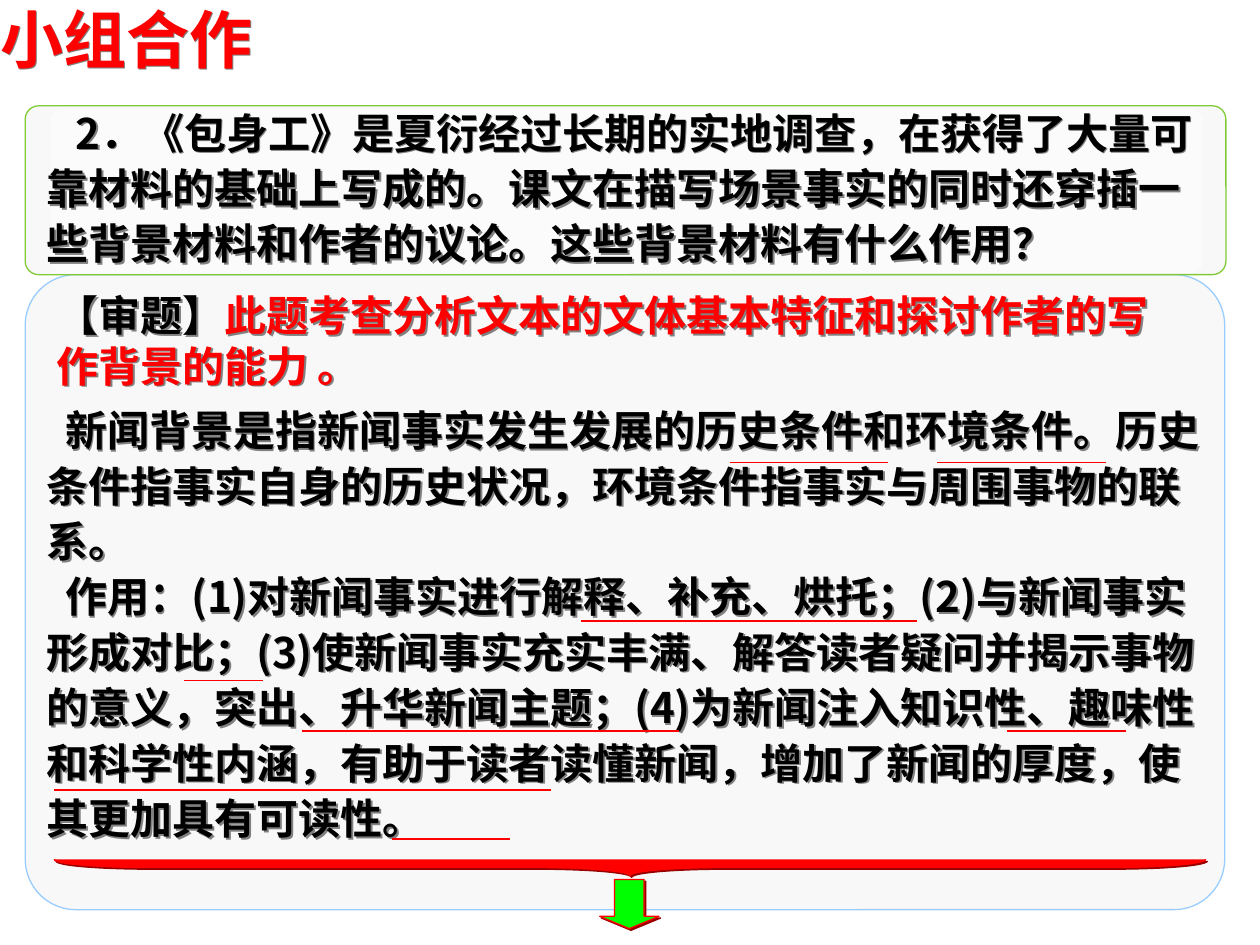
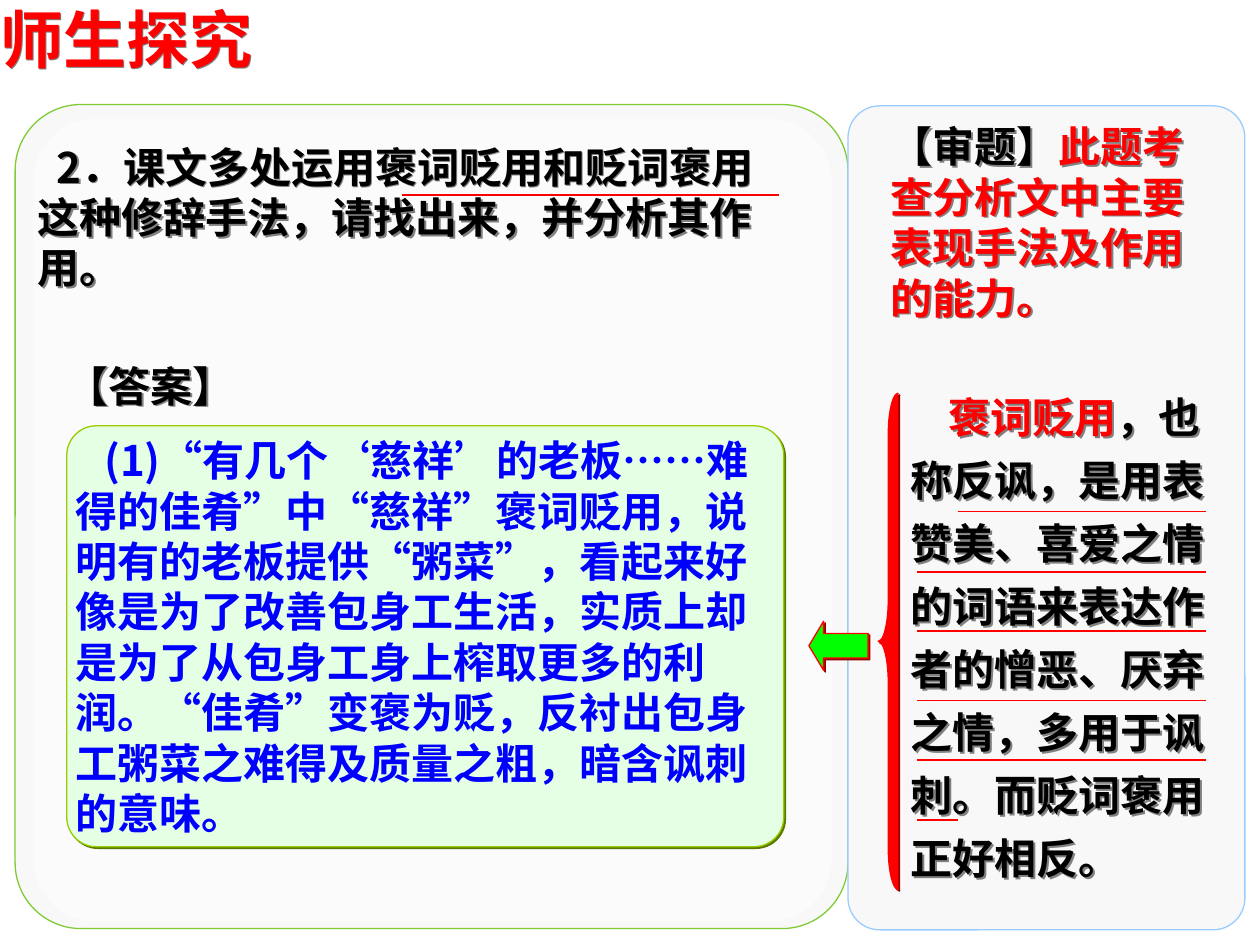
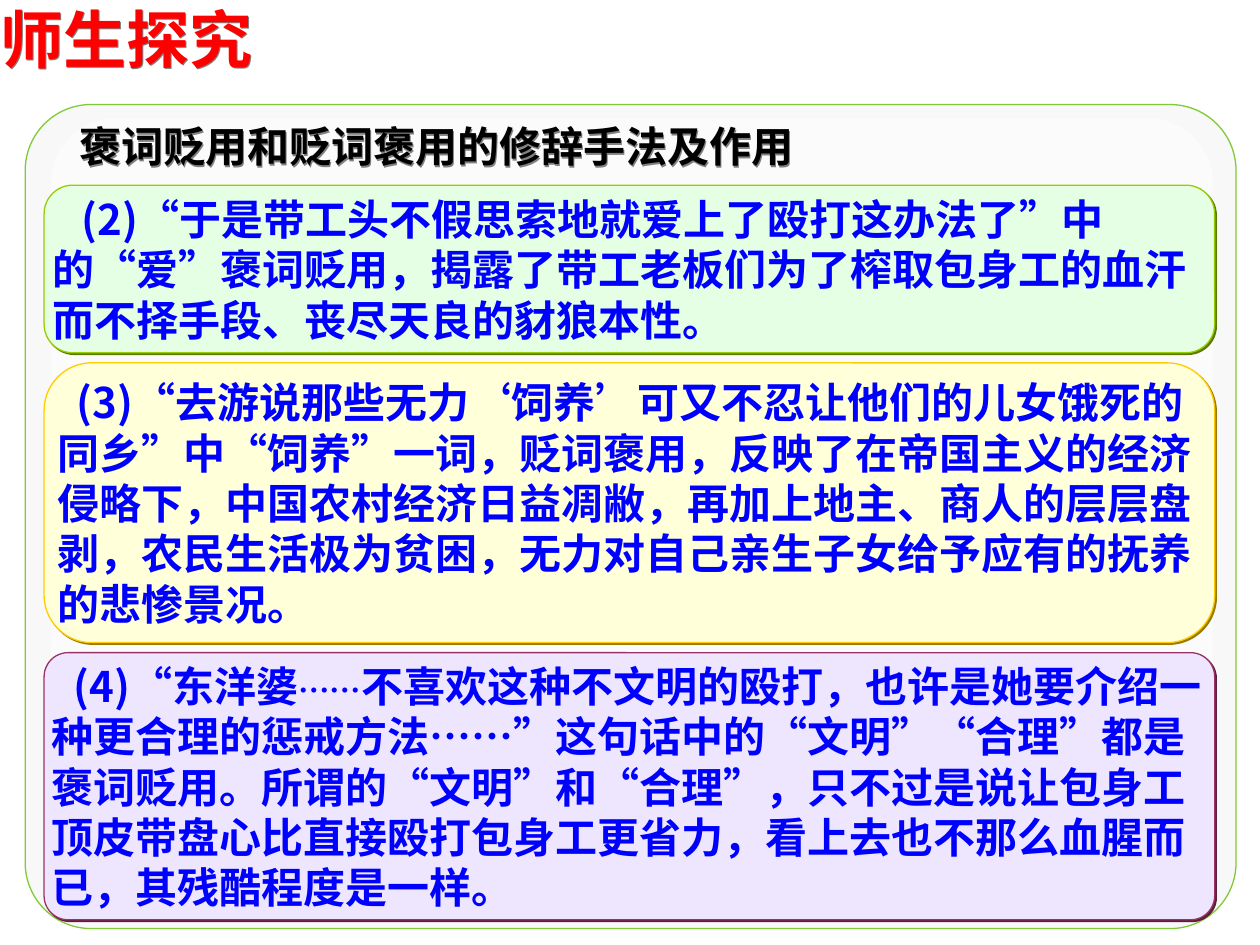
from dataclasses import dataclass
from lxml.etree import SubElement as Sub, Element as Elem
from pptx import Presentation
from pptx.dml.color import RGBColor as RGB
from pptx.enum.shapes import MSO_CONNECTOR as LINK, MSO_SHAPE as KIND
from pptx.enum.text import MSO_ANCHOR as ANCHOR, MSO_AUTO_SIZE as FIT, PP_ALIGN as ALIGN
from pptx.oxml.ns import qn
from pptx.util import Inches, Pt


@dataclass(frozen=True)
class Theme:
    red: str = "FF0000"
    black: str = "000000"
    blue: str = "0000FF"
    lime: str = "00FF00"
    white: str = "FFFFFF"
    pale: str = "F8F8F8"
    leaf: str = "80CB35"
    sky: str = "99CCFF"
    gray: str = "808080"
    dark: str = "980000"
    green: tuple = ("E5FFE5", "99CC00", "5B7900")
    gold: tuple = ("FFFFD9", "FFCC00", "987900")
    plum: tuple = ("EEE5FF", "993366", "5B1E3C")
    sans: str = "Arial"
    han: str = "Noto Sans CJK SC"
    head: int = 36
    body: int = 24
    small: int = 18
    thin: float = 0.75
    mark: int = 1
    drop: float = 1.4


T = Theme()


@dataclass(frozen=True)
class Box:
    x: float
    y: float
    w: float
    h: float

    def sub(self, x, y, w, h):
        return Box(self.x + x, self.y + y, w, h)

    def inner(self):
        return self.sub(self.w * 0.021, self.h * 0.017, self.w * 0.96, self.h * 0.975)

    def size(self):
        return [Inches(n) for n in (self.x, self.y, self.w, self.h)]


def put(item, **form):
    for name, value in form.items():
        setattr(item, name, value)


def shade(item, tone):
    item.shadow.inherit = False
    glow = item._element.spPr.find(qn("a:effectLst"))
    cast = Sub(glow, qn("a:outerShdw"), dist=str(int(Pt(T.drop))), dir="2700000", algn="ctr", rotWithShape="0")
    Sub(cast, qn("a:srgbClr"), val=tone)


def write(frame, paras, font, size=T.body, tone=T.black, space=None, pad=(0.1, 0.05), anchor=ANCHOR.TOP):
    side, top = (Inches(n) for n in pad)
    put(frame, word_wrap=True, auto_size=FIT.NONE, vertical_anchor=anchor, margin_left=side,
        margin_right=side, margin_top=top, margin_bottom=top)
    for num, (dent, runs) in enumerate(paras):
        para = frame.add_paragraph() if num else frame.paragraphs[0]
        put(para, alignment=ALIGN.LEFT, space_before=Pt(0), line_spacing=space)
        props = para._p.get_or_add_pPr()
        for name, value in {"marL": 0, "indent": int(Inches(dent)), "hangingPunct": 0}.items():
            props.set(name, str(value))
        for text, form in runs:
            form = {"tone": tone, "size": size, "name": font} | form
            run = para.add_run()
            run.text = text
            put(run.font, size=Pt(form["size"]), bold=True, name=form["name"])
            run.font.color.rgb = RGB.from_string(form["tone"])
            latin = run.font._element.find(qn("a:latin"))
            latin.addnext(Elem(qn("a:ea"), typeface=T.han))


def shape(slide, kind, box, fill, line=None, cast=None, adjust=()):
    item = slide.shapes.add_shape(kind, *box.size())
    item.shadow.inherit = False
    item.fill.solid()
    item.fill.fore_color.rgb = RGB.from_string(fill)
    if line:
        item.line.color.rgb = RGB.from_string(line)
        item.line.width = Pt(T.thin)
    else:
        item.line.fill.background()
    for num, value in enumerate(adjust):
        item.adjustments[num] = value
    if cast:
        shade(item, cast)
    return item


def panel(slide, box, edge):
    shape(slide, KIND.ROUNDED_RECTANGLE, box, T.pale, edge, adjust=[0.08])


def frost(slide, box):
    panel(slide, box, T.leaf)
    veil = shape(slide, KIND.ROUNDED_RECTANGLE, box.inner(), T.white, adjust=[0.08])
    Sub(veil._element.spPr.find(qn("a:solidFill"))[0], qn("a:alpha"), val="50000")


def note(slide, box, paras, font=T.sans, **form):
    item = slide.shapes.add_textbox(*box.size())
    shade(item, T.gray)
    write(item.text_frame, paras, font, **form)


def card(slide, box, look, curve, dent, runs):
    item = shape(slide, KIND.ROUNDED_RECTANGLE, box, *look, adjust=[curve])
    write(item.text_frame, [(dent, runs)], T.han, tone=T.blue, pad=(0, 0), anchor=ANCHOR.MIDDLE)


def marks(slide, box, rows):
    for y, start, end in rows:
        ends = [Inches(n) for n in (box.x + start, box.y + y, box.x + end, box.y + y)]
        line = slide.shapes.add_connector(LINK.STRAIGHT, *ends)
        line.line.color.rgb = RGB.from_string(T.red)
        line.line.width = Pt(T.mark)
        Sub(line._element.spPr, qn("a:effectLst"))


def brace(slide, box, bend, flat=False):
    if flat:
        box = box.sub((box.w - box.h) / 2, (box.h - box.w) / 2, box.h, box.w)
    item = shape(slide, KIND.LEFT_BRACE, box, T.red, T.red, T.dark, [bend, 0.5])
    item.rotation = 270 if flat else 0


def arrow(slide, kind, box, tip):
    shape(slide, kind, box, T.lime, T.red, T.dark, [0.5, tip])


def page(deck, title):
    slide = deck.slides.add_slide(deck.slide_layouts[5])
    head = slide.shapes.title
    spots = Box(0, 0, 3.35, 0.6).size()
    put(head, **dict(zip(("left", "top", "width", "height"), spots)))
    head.fill.background()
    shade(head, T.gray)
    write(head.text_frame, [(0, [(title, {})])], T.sans, T.head, T.red, pad=(0, 0))
    return slide


def topic(slide, box, text, font=T.sans):
    note(slide, box, [(0, [("【审题】", {}), (text, {"tone": T.red, "name": font})])])


def quest(slide, box):
    frost(slide, box)
    text = "2．《包身工》是夏衍经过长期的实地调查，在获得了大量可靠材料的基础上写成的。课文在描写场景事实的同时还穿插一些背景材料和作者的议论。这些背景材料有什么作用？"
    note(slide, box.sub(0.07, -0.08, 9.29, 1.42), [(0.23, [(text, {})])], T.han, space=1.1, anchor=ANCHOR.MIDDLE)


def study(slide, box):
    panel(slide, box, T.sky)
    topic(slide, box.sub(0.15, 0.07, 9.06, 0.9), "此题考查分析文本的文体基本特征和探讨作者的写作背景的能力 。", T.han)
    texts = (
        "新闻背景是指新闻事实发生发展的历史条件和环境条件。历史条件指事实自身的历史状况，环境条件指事实与周围事物的联系。",
        "作用：(1)对新闻事实进行解释、补充、烘托；(2)与新闻事实形成对比；(3)使新闻事实充实丰满、解答读者疑问并揭示事物的意义，突出、升华新闻主题；(4)为新闻注入知识性、趣味性和科学性内涵，有助于读者读懂新闻，增加了新闻的厚度，使其更加具有可读性。",
    )
    note(slide, box.sub(0.07, 0.94, 9.37, 3.62), [(0.15, [(text, {})]) for text in texts], T.han,
         space=1.1, anchor=ANCHOR.MIDDLE)
    marks(slide, box, [
        (1.49, 5.59, 6.85), (1.49, 7.24, 8.58), (2.75, 4.41, 7.08), (3.22, 1.26, 1.89),
        (3.62, 2.2, 5.19), (3.62, 7.79, 8.74), (4.09, 0.23, 4.17), (4.48, 2.91, 3.85),
    ])
    brace(slide, box.sub(0.23, 4.64, 9.14, 0.13), 5.85, True)
    arrow(slide, KIND.DOWN_ARROW, box.sub(4.56, 4.8, 0.47, 0.39), 0.25)


def reply(slide, box):
    frost(slide, box)
    text = "2．课文多处运用褒词贬用和贬词褒用这种修辞手法，请找出来，并分析其作用。"
    note(slide, box.sub(0.08, 0.24, 6.14, 1.3), [(0.15, [(text, {})])], T.han, anchor=ANCHOR.MIDDLE)
    marks(slide, box, [(0.72, 3.07, 6.06)])
    note(slide, box.sub(0.31, 1.98, 1.89, 0.5), [(0, [("【答案】", {})])])
    card(slide, box.sub(0.41, 2.55, 5.69, 3.34), T.green, 0.07, 0.23, [
        ("(1)“有几个‘慈祥’的老板", {}),
        ("……", {"name": T.sans}),
        ("难得的佳肴”中“慈祥”褒词贬用，说明有的老板提供“粥菜”，看起来好像是为了改善包身工生活，实质上却是为了从包身工身上榨取更多的利润。“佳肴”变褒为贬，反衬出包身工粥菜之难得及质量之粗，暗含讽刺的意味。", {}),
    ])


def aside(slide, box):
    panel(slide, box, T.sky)
    topic(slide, box.sub(0.24, 0.07, 2.84, 1.7), "此题考查分析文中主要表现手法及作用的能力。")
    note(slide, box.sub(0.4, 2.12, 2.68, 4.1), [(0.3, [
        ("褒词贬用", {"tone": T.red}),
        ("，也称反讽，是用表赞美、喜爱之情的词语来表达作者的憎恶、厌弃之情，多用于讽刺。而贬词褒用正好相反。", {}),
    ])], space=1.25)
    full = [(y, 0.55, 2.84) for y in (3.7, 4.17, 4.72, 5.19)]
    marks(slide, box, [(3.22, 0.87, 2.84), *full, (5.67, 0.55, 0.87)])
    brace(slide, box.sub(0.24, 2.28, 0.16, 3.94), 2.06)
    arrow(slide, KIND.LEFT_ARROW, box.sub(-0.31, 4.09, 0.47, 0.39), 0.3)


def cases(slide, box):
    frost(slide, box)
    note(slide, box.sub(0.33, 0.08, 6.2, 0.5), [(0, [("褒词贬用和贬词褒用的修辞手法及作用", {})])])
    cards = [
        (1.33, T.green, 0.17, 0.23, [
            ("(2)“于是带工头不假思索地就爱上了殴打这办法了”中的“爱”褒词贬用，揭露了带工老板们为了榨取包身工的血汗而不择手段、丧尽天良的豺狼本性。", {}),
        ]),
        (2.22, T.gold, 0.17, 0.15, [
            ("(3)“去游说那些无力‘饲养’可又不忍让他们的儿女饿死的同乡”中“饲养”一词，贬词褒用，反映了在帝国主义的经济侵略下，中国农村经济日益凋敝，再加上地主、商人的层层盘剥，农民生活极为贫困，无力对自己亲生子女给予应有的抚养的悲惨景况。", {}),
        ]),
        (2.12, T.plum, 0.09, 0.18, [
            ("(4)“东洋婆", {}),
            ("……", {"size": T.small, "name": T.sans}),
            ("不喜欢这种不文明的殴打，也许是她要介绍一种更合理的惩戒方法……”这句话中的“文明”“合理”都是褒词贬用。所谓的“文明”和“合理”，只不过是说让包身工顶皮带盘心比直接殴打包身工更省力，看上去也不那么血腥而已，其残酷程度是一样。", {}),
        ]),
    ]
    y = 0.64
    for high, *rest in cards:
        card(slide, box.sub(0.15, y, 9.29, high), *rest)
        y += high + 0.08


def main():
    deck = Presentation()
    put(deck, slide_width=Inches(10), slide_height=Inches(7.5))
    group = page(deck, "小组合作")
    study(group, Box(0.2, 2.18, 9.52, 5.04))
    quest(group, Box(0.2, 0.84, 9.53, 1.34))
    probe = page(deck, "师生探究")
    reply(probe, Box(0.12, 0.83, 6.61, 6.54))
    aside(probe, Box(6.73, 0.84, 3.15, 6.54))
    cases(page(deck, "师生探究"), Box(0.2, 0.83, 9.61, 6.54))
    deck.save("out.pptx")


if __name__ == "__main__":
    main()
